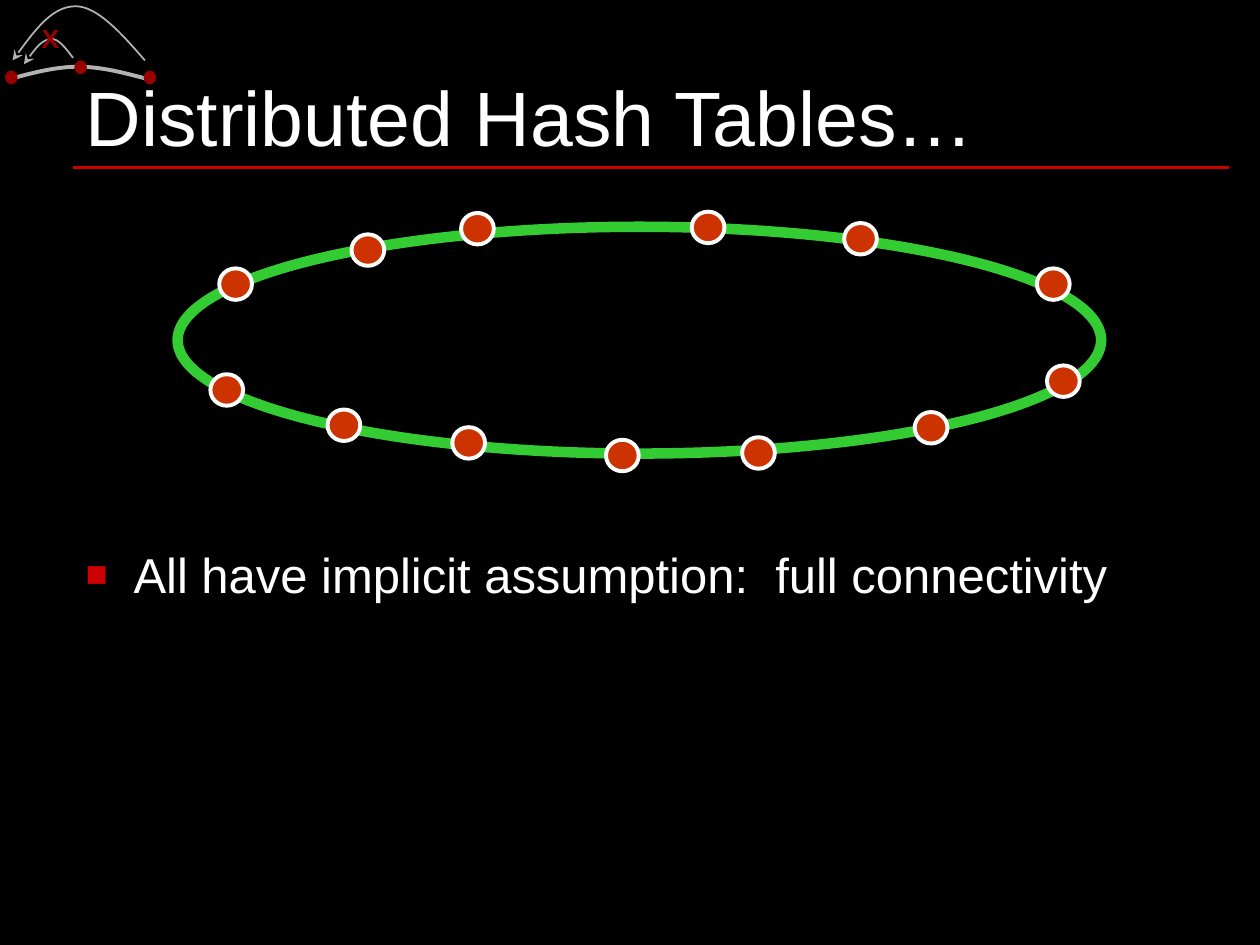
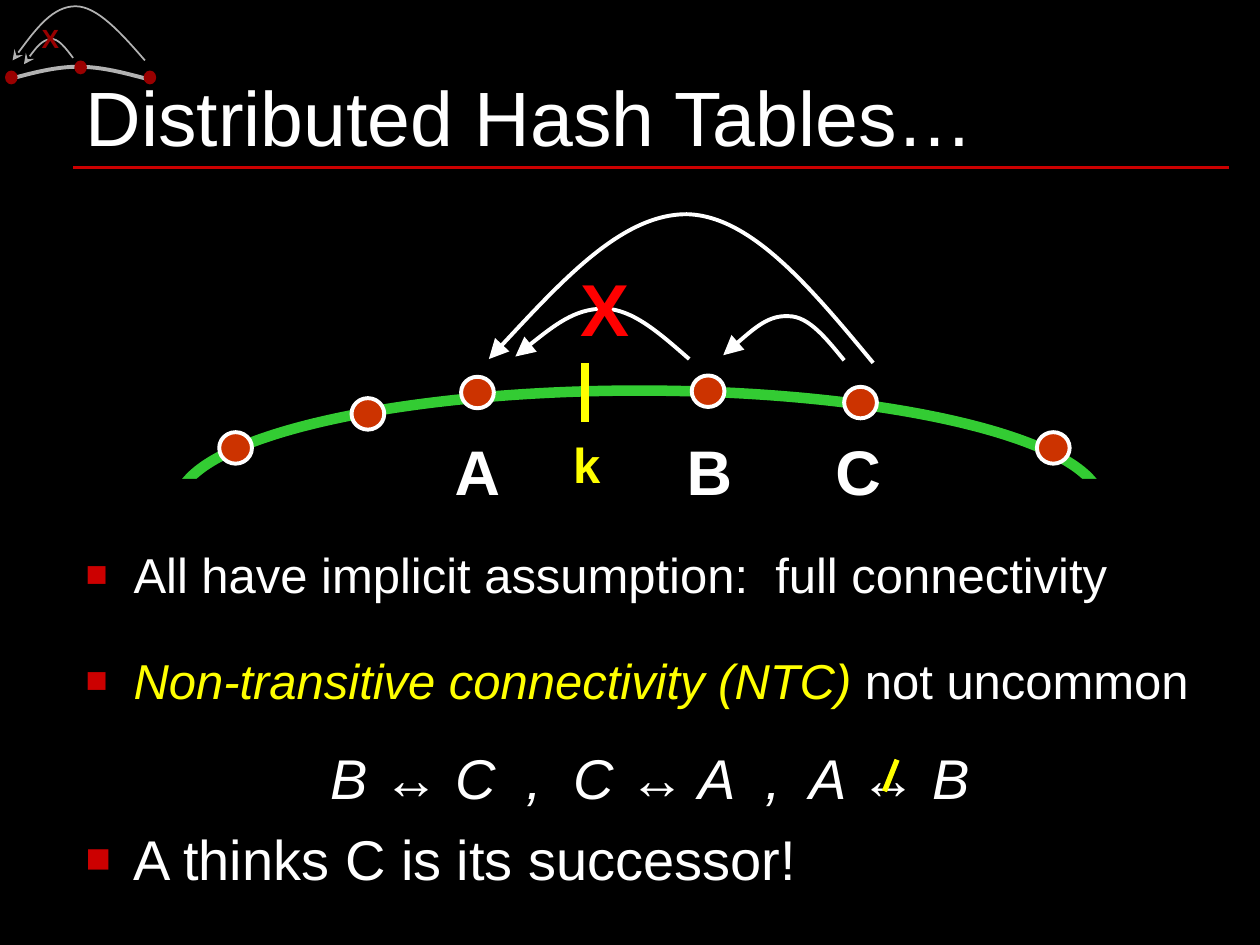
"""Builds two slides on distributed hash tables and non-transitive connectivity."""
import lxml.etree
import pptx
import pptx.dml.color
import pptx.enum.shapes
import pptx.enum.text
import pptx.oxml.ns
import pptx.util

Inches = pptx.util.Inches
Pt = pptx.util.Pt
RGBColor = pptx.dml.color.RGBColor
Align = pptx.enum.text.PP_ALIGN
Anchor = pptx.enum.text.MSO_ANCHOR
qn = pptx.oxml.ns.qn

BLACK = RGBColor(0x00, 0x00, 0x00)
WHITE = RGBColor(0xFF, 0xFF, 0xFF)
YELLOW = RGBColor(0xFF, 0xFF, 0x00)
RED = RGBColor(0xFF, 0x00, 0x00)
RULE_RED = RGBColor(0xCC, 0x00, 0x00)
DARK_RED = RGBColor(0x99, 0x00, 0x00)
NODE_RED = RGBColor(0xCC, 0x33, 0x00)
RING_GREEN = RGBColor(0x33, 0xCC, 0x33)
GRAY = RGBColor(0xB2, 0xB2, 0xB2)
FONT = "Arial"

TITLE = "Distributed Hash Tables…"
TITLE_BOX = (0.58, 0.08, 9.17, 1.25)
BODY_BOX = (0.58, 3.8, 9.17, 3.43)
RULE = ((0.58, 1.33), (9.75, 1.33))
HANG = 0.38

ASSUMPTION = {"runs": [("All have implicit assumption:  full connectivity", WHITE, False)],
              "size": 28, "before": 0, "spacing": 1.0, "bullet": True}
NTC_POINTS = [
    ASSUMPTION,
    {"runs": [("Non-transitive connectivity (NTC) ", YELLOW, True),
              ("not uncommon", WHITE, False)],
     "size": 28, "before": 7, "spacing": 1.6, "bullet": True},
    {"runs": [("B ↔ C  ,  C ↔ A  ,  A ↔ B", WHITE, True)],
     "size": 32, "before": 8, "spacing": 1.3, "bullet": False},
    {"runs": [("A thinks C is its successor!", WHITE, False)],
     "size": 32, "before": 8, "spacing": 1.0, "bullet": True},
]

RING_LEFT, RING_SIZE = 1.41, (7.33, 1.8)
NODE_SIZE = (0.26, 0.25)
UPPER_NODES = [(1.74, 0.33), (2.79, 0.06), (3.66, -0.11), (5.49, -0.12),
               (6.7, -0.03), (8.23, 0.33)]
LOWER_NODES = [(1.67, 1.17), (2.6, 1.45), (3.59, 1.59), (4.81, 1.69),
               (5.89, 1.67), (7.26, 1.47), (8.31, 1.1)]

EMBLEM_ARC = [(0.07, 0.63), (0.25, 0.58), (0.44, 0.53), (0.62, 0.53),
              (0.81, 0.53), (0.99, 0.58), (1.18, 0.63)]
EMBLEM_DOTS = [(0.04, 0.56), (1.14, 0.56), (0.59, 0.48)]
EMBLEM_DOT_SIZE = (0.1, 0.11)
EMBLEM_HOPS = [
    [(1.15, 0.48), (0.96, 0.26), (0.77, 0.05), (0.6, 0.05),
     (0.42, 0.05), (0.26, 0.26), (0.1, 0.48)],
    [(0.58, 0.46), (0.52, 0.38), (0.46, 0.3), (0.4, 0.31),
     (0.33, 0.32), (0.26, 0.41), (0.19, 0.51)],
]
EMBLEM_CROSS = ("X", (0.23, 0.13, 0.34, 0.35), 15, DARK_RED)

HOPS = [
    [(6.93, 2.88), (6.44, 2.29), (5.96, 1.71), (5.45, 1.7),
     (4.94, 1.7), (4.41, 2.28), (3.88, 2.85)],
    [(6.7, 2.86), (6.56, 2.69), (6.42, 2.51), (6.26, 2.51),
     (6.1, 2.5), (5.92, 2.66), (5.74, 2.82)],
    [(5.47, 2.85), (5.24, 2.65), (5.02, 2.45), (4.79, 2.45),
     (4.56, 2.45), (4.32, 2.64), (4.09, 2.83)],
]
KEY_TICK = ((4.64, 2.88), (4.64, 3.35))
BROKEN_LINK = ((7.02, 6.28), (7.12, 6.03))
KEY_LABEL = ("k", (4.45, 3.4, 0.41, 0.57), 28, YELLOW)
NODE_LABELS = [(name, (left, 3.38, 0.56, 0.7), 36, WHITE)
               for name, left in [("A", 3.51), ("B", 5.35), ("C", 6.53)]]
BROKEN_CROSS = ("X", (4.51, 2.04, 0.59, 0.8), 42, RED)


def add_xml(parent, tag, **attributes):
    return lxml.etree.SubElement(parent, qn(tag), attributes)


def set_line(shape, color, width):
    shape.line.color.rgb = color
    shape.line.width = Pt(width)


def add_ellipse(owner, place, size, fill=None, outline=None, width=0):
    ellipse = owner.shapes.add_shape(pptx.enum.shapes.MSO_SHAPE.OVAL,
                                     *map(Inches, (*place, *size)))
    ellipse.shadow.inherit = False
    if fill is None:
        ellipse.fill.background()
    else:
        ellipse.fill.solid()
        ellipse.fill.fore_color.rgb = fill
    if outline is None:
        ellipse.line.fill.background()
    else:
        set_line(ellipse, outline, width)


def add_line(slide, ends, color, width):
    (x1, y1), (x2, y2) = ends
    line = slide.shapes.add_connector(pptx.enum.shapes.MSO_CONNECTOR.STRAIGHT,
                                      *map(Inches, (x1, y1, x2, y2)))
    set_line(line, color, width)
    add_xml(line.element.spPr, "a:effectLst")


def bend(curve):
    """Turns each three straight segments into one cubic Bézier segment."""
    segments = list(curve.element.spPr.iter(qn("a:lnTo")))
    for first in range(0, len(segments), 3):
        outline = segments[first].getparent()
        cubic = add_xml(outline, "a:cubicBezTo")
        for segment in segments[first:first + 3]:
            cubic.append(segment[0])
            outline.remove(segment)


def add_curve(slide, controls, color, width, arrowhead=None, head_size="med"):
    start, *rest = [(Inches(x), Inches(y)) for x, y in controls]
    builder = slide.shapes.build_freeform(*start)
    builder.add_line_segments(rest, close=False)
    curve = builder.convert_to_shape()
    bend(curve)
    curve.shadow.inherit = False
    curve.fill.background()
    set_line(curve, color, width)
    if arrowhead:
        add_xml(curve.element.spPr.find(qn("a:ln")), "a:tailEnd",
                type=arrowhead, w=head_size, len=head_size)


def add_label(slide, text, box, size, color):
    frame = slide.shapes.add_textbox(*map(Inches, box)).text_frame
    frame.word_wrap = False
    paragraph = frame.paragraphs[0]
    paragraph.text = text
    paragraph.alignment = Align.CENTER
    font = paragraph.font
    font.name, font.size, font.bold = FONT, Pt(size), True
    font.color.rgb = color


def place_frame(placeholder, box, anchor):
    (placeholder.left, placeholder.top,
     placeholder.width, placeholder.height) = map(Inches, box)
    frame = placeholder.text_frame
    frame.auto_size = pptx.enum.text.MSO_AUTO_SIZE.NONE
    frame.vertical_anchor = anchor
    return frame


def write_title(slide):
    paragraph = place_frame(slide.shapes.title, TITLE_BOX, Anchor.BOTTOM).paragraphs[0]
    paragraph.text = TITLE
    paragraph.alignment = Align.LEFT
    paragraph.line_spacing = 0.8
    paragraph.font.name, paragraph.font.size = FONT, Pt(44)
    paragraph.font.color.rgb = WHITE


def set_bullet(paragraph, bulleted):
    properties = paragraph._p.get_or_add_pPr()
    properties.set("marL", str(Inches(HANG)))
    properties.set("indent", str(-Inches(HANG)))
    if bulleted:
        add_xml(add_xml(properties, "a:buClr"), "a:srgbClr", val=str(RULE_RED))
        add_xml(properties, "a:buSzPct", val="75000")
        add_xml(properties, "a:buChar", char="■")
    else:
        add_xml(properties, "a:buNone")


def write_points(slide, points):
    body = slide.placeholders[1]
    slide.shapes.element.append(body.element)
    body.fill.solid()
    body.fill.fore_color.rgb = BLACK
    frame = place_frame(body, BODY_BOX, Anchor.TOP)
    frame.margin_top = Inches(0.52)
    for index, point in enumerate(points):
        paragraph = frame.add_paragraph() if index else frame.paragraphs[0]
        paragraph.alignment = Align.LEFT if point["bullet"] else Align.CENTER
        paragraph.space_before = Pt(point["before"])
        paragraph.line_spacing = point["spacing"]
        set_bullet(paragraph, point["bullet"])
        paragraph.font.name, paragraph.font.size = FONT, Pt(point["size"])
        for text, color, italic in point["runs"]:
            run = paragraph.add_run()
            run.text = text
            run.font.italic = italic
            run.font.color.rgb = color


def add_ring(slide, top, nodes):
    ring = slide.shapes.add_group_shape()
    add_ellipse(ring, (RING_LEFT, top), RING_SIZE, outline=RING_GREEN, width=6)
    for left, drop in nodes:
        add_ellipse(ring, (left, top + drop), NODE_SIZE, NODE_RED, WHITE, 2.25)


def dress_layout(layout, slide):
    """Draws the rule and emblem on the slide, then moves them to its layout."""
    for placeholder in list(layout.placeholders)[2:]:
        layout.shapes.element.remove(placeholder.element)
    add_line(slide, RULE, RULE_RED, 2)
    add_curve(slide, EMBLEM_ARC, GRAY, 2.25)
    for dot in EMBLEM_DOTS:
        add_ellipse(slide, dot, EMBLEM_DOT_SIZE, DARK_RED)
    for hop in EMBLEM_HOPS:
        add_curve(slide, hop, GRAY, 1, "stealth")
    add_label(slide, *EMBLEM_CROSS)
    for part in list(slide.shapes):
        if not part.is_placeholder:
            layout.shapes.element.append(part.element)


def add_ring_slide(deck, layout, ring_top, nodes, points):
    slide = deck.slides.add_slide(layout)
    write_title(slide)
    if len(deck.slides) == 1:
        dress_layout(layout, slide)
    add_ring(slide, ring_top, nodes)
    write_points(slide, points)
    return slide


def add_broken_routes(slide):
    add_line(slide, KEY_TICK, YELLOW, 4.5)
    for label in [KEY_LABEL, *NODE_LABELS]:
        add_label(slide, *label)
    for hop in HOPS:
        add_curve(slide, hop, WHITE, 2.25, "triangle", "lg")
    add_label(slide, *BROKEN_CROSS)
    add_line(slide, BROKEN_LINK, YELLOW, 3)


def main():
    deck = pptx.Presentation()
    deck.slide_width, deck.slide_height = Inches(10), Inches(7.5)
    backdrop = deck.slide_master.background.fill
    backdrop.solid()
    backdrop.fore_color.rgb = BLACK
    layout = deck.slide_layouts[1]
    add_ring_slide(deck, layout, 1.8, UPPER_NODES + LOWER_NODES, [ASSUMPTION])
    add_broken_routes(add_ring_slide(deck, layout, 3.1, UPPER_NODES, NTC_POINTS))
    deck.save("out.pptx")


if __name__ == "__main__":
    main()
